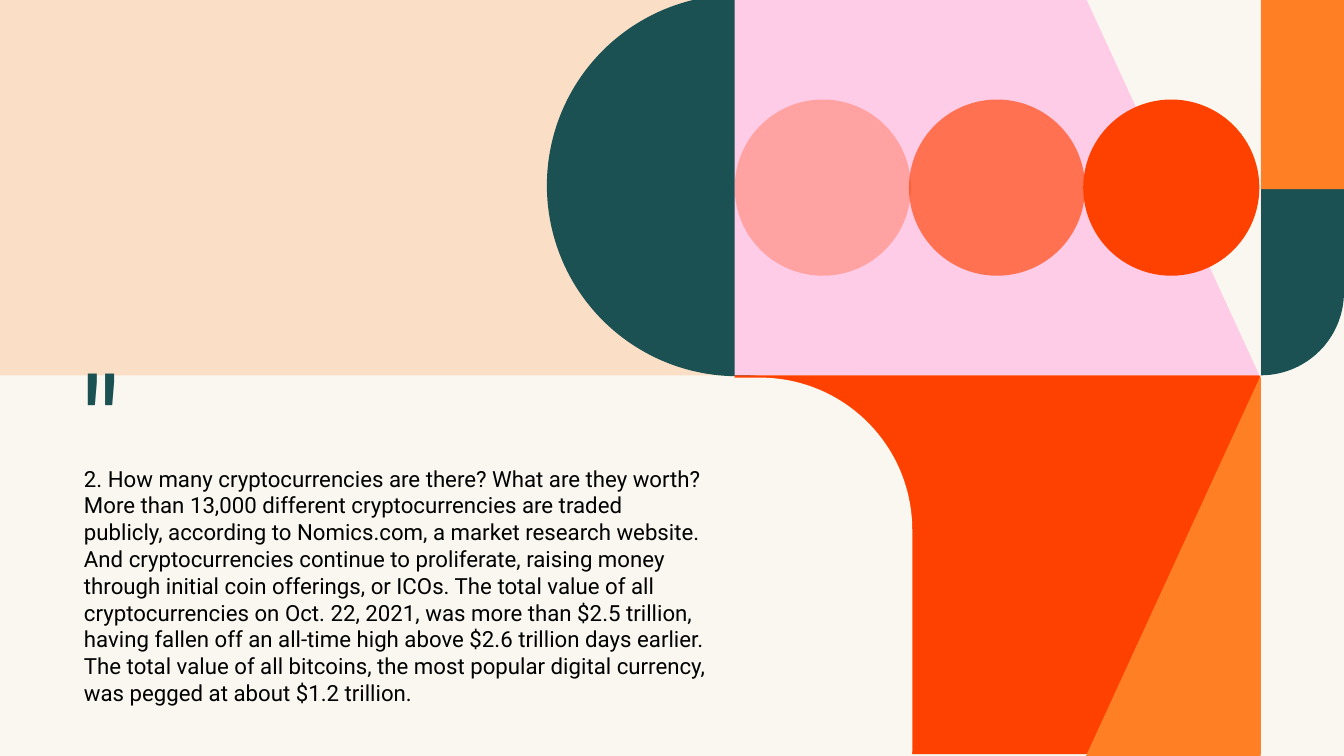
"""Build a quote slide with a geometric colour-block composition."""
from math import cos, pi, sin

from lxml import etree
from pptx import Presentation
from pptx.dml.color import RGBColor
from pptx.enum.shapes import MSO_SHAPE
from pptx.oxml.ns import qn
from pptx.util import Pt

RECT = MSO_SHAPE.RECTANGLE
OVAL = MSO_SHAPE.OVAL
ROUNDED = MSO_SHAPE.ROUNDED_RECTANGLE
COLORS = {"cream": "F9F7EF", "teal": "1B5153", "orange": "FF8024",
          "pink": "FFCCE7", "red": "FF4100", "black": "000000"}

W, H = 768.24, 432
LEFT, RIGHT, MID = 420, 720.7, 214.5
SLANT = 620.8


def paint(sp, color, alpha=100):
    sp.shadow.inherit = False
    sp.line.fill.background()
    sp.fill.solid()
    sp.fill.fore_color.rgb = RGBColor.from_string(COLORS[color])
    if alpha < 100:
        clr = sp._element.spPr.find(qn("a:solidFill"))[0]
        etree.SubElement(clr, qn("a:alpha"), val=str(alpha * 1000))


def add_text(text, box, size, color, spacing, top=0):
    tf = s.shapes.add_textbox(*[Pt(v) for v in box]).text_frame
    tf.word_wrap = True
    tf.margin_left = tf.margin_right = tf.margin_bottom = 0
    tf.margin_top = Pt(top)
    tf.text = text
    for p in tf.paragraphs:
        p.line_spacing = Pt(spacing)
        for r in p.runs:
            r.font.name = "Roboto"
            r.font.size = Pt(size)
            r.font.color.rgb = RGBColor.from_string(COLORS[color])


prs = Presentation()
prs.slide_width, prs.slide_height = Pt(W), Pt(H)
s = prs.slides.add_slide(prs.slide_layouts[6])

radius = W - RIGHT
corner_y = MID - radius
arc = [(RIGHT + radius * cos(i * pi / 80), corner_y + radius * sin(i * pi / 80))
       for i in range(41)]
rounded_corner = [(RIGHT, 148), (W, 148)] + arc
orange_wedge = [(SLANT, H), (RIGHT, MID), (RIGHT, H)]
cream_wedge = [(SLANT, -1), (RIGHT, 216), (RIGHT, -1)]

pieces = [
    (RECT, (0, 0, W, H), "cream", 100),
    (RECT, (RIGHT, 51, radius, 99.5), "teal", 100),
    ("polygon", rounded_corner, "teal", 100),
    (RECT, (RIGHT, -1, radius, 109.2), "orange", 100),
    (RECT, (0, -2, 490, MID + 2), "orange", 20),
    (OVAL, (312.6, -3, 218, 218), "teal", 100),
    (RECT, (LEFT, -2, RIGHT - LEFT, MID + 2), "pink", 100),
    (RECT, (LEFT, MID, RIGHT - LEFT, 216.5), "red", 100),
    (ROUNDED, (221.3, 215.8, 300.2, 300.2), "cream", 100),
    ("polygon", orange_wedge, "orange", 100),
    ("polygon", cream_wedge, "cream", 100),
]
pieces += [(OVAL, (LEFT + 99.6 * i, 56.9, 100.7, 100.7), "red", alpha)
           for i, alpha in enumerate((30, 65, 100))]

for kind, geometry, color, alpha in pieces:
    if kind == "polygon":
        points = [(Pt(x), Pt(y)) for x, y in geometry]
        builder = s.shapes.build_freeform(*points[0])
        builder.add_line_segments(points[1:], close=True)
        sp = builder.convert_to_shape()
    else:
        sp = s.shapes.add_shape(kind, *[Pt(v) for v in geometry])
    if kind == ROUNDED:
        sp.adjustments[0] = 0.29
    paint(sp, color, alpha)

add_text('"', (45.4, 186.5, 384, 90), 75, "teal", 90, top=8.6)
add_text(
    "2. How many cryptocurrencies are there? What are they worth?\n"
    "More than 13,000 different cryptocurrencies are traded publicly, "
    "according to Nomics.com, a market research website. And cryptocurrencies "
    "continue to proliferate, raising money through initial coin offerings, "
    "or ICOs. The total value of all cryptocurrencies on Oct. 22, 2021, was "
    "more than $2.5 trillion, having fallen off an all-time high above "
    "$2.6 trillion days earlier. The total value of all bitcoins, the most "
    "popular digital currency, was pegged at about $1.2 trillion.",
    (48, 264.2, 356, 168), 12.7, "black", 15.3, top=1.4)

prs.save("out.pptx")
